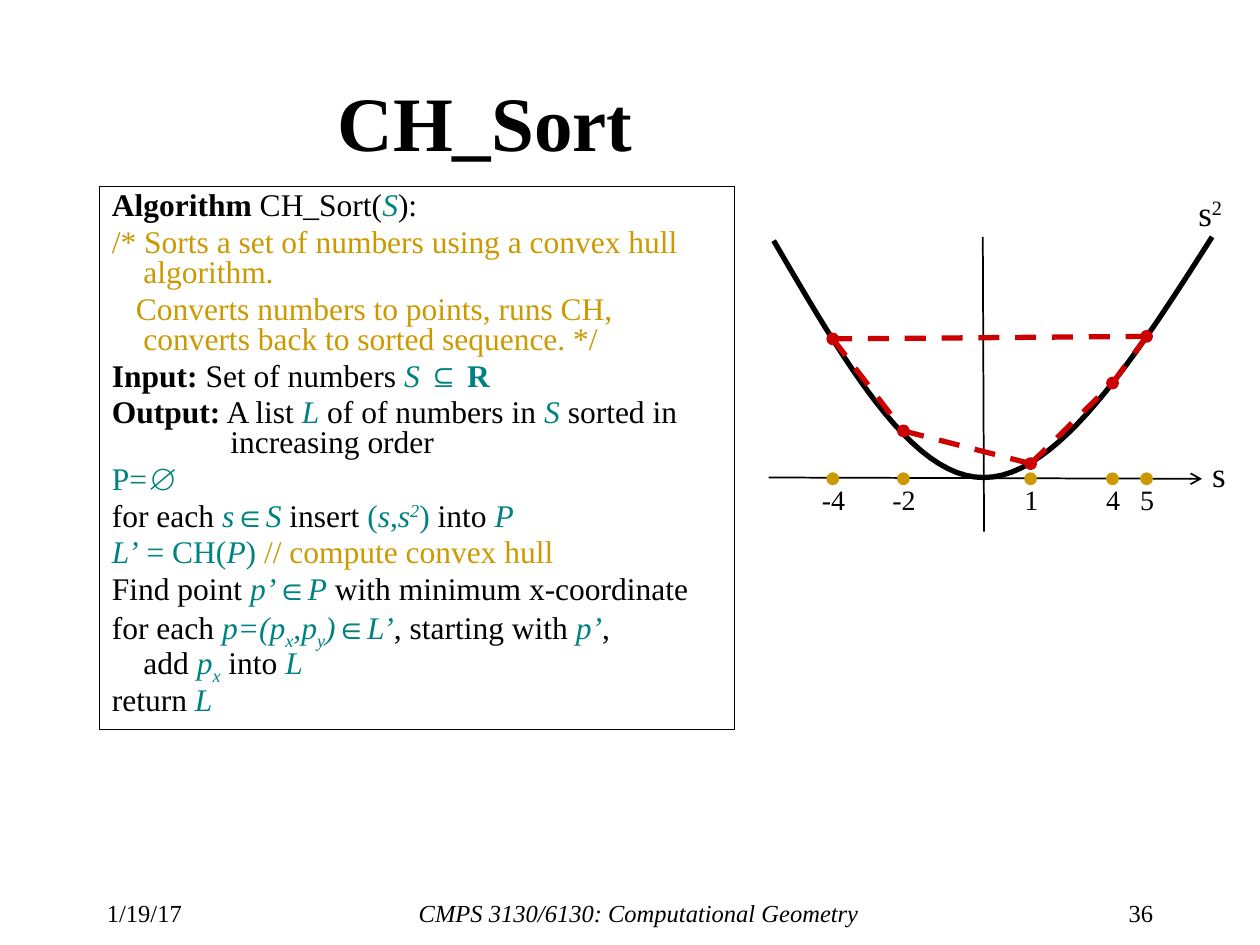
from itertools import pairwise

from lxml.etree import SubElement as Sub
from pptx import Presentation
from pptx.dml.color import RGBColor
from pptx.enum.dml import MSO_LINE as Dash
from pptx.enum.shapes import MSO_CONNECTOR as Conn, MSO_SHAPE as Kind
from pptx.enum.text import MSO_ANCHOR as Anchor, PP_ALIGN as Align
from pptx.oxml.ns import qn
from pptx.util import Inches, Pt

HUES = {"ink": "000000", "teal": "008380", "gold": "CC9900", "red": "CC0000"}
STYLES = {
    "plain": ("ink", {}, 0),
    "bold": ("ink", {"bold": True}, 0),
    "slant": ("ink", {"italic": True}, 0),
    "note": ("gold", {}, 0),
    "math": ("teal", {}, 0),
    "set": ("teal", {"bold": True}, 0),
    "var": ("teal", {"italic": True}, 0),
    "sup": ("teal", {"italic": True}, 30000),
    "sub": ("teal", {"italic": True}, -25000),
    "power": ("ink", {}, 30000),
}
HANG = (0.25, -0.25)
CODE = [
    (HANG, [("Algorithm", "bold"), (" CH_Sort(", "plain"), ("S", "var"), ("):", "plain")]),
    (HANG, [("/* Sorts a set of numbers using a convex hull\nalgorithm.", "note")]),
    ((0.25, -0.06), [("Converts numbers to points, runs CH, "
                      "converts back to sorted sequence. */", "note")]),
    (HANG, [("Input:", "bold"), (" Set of numbers ", "plain"), ("S ", "var"),
            ("⊆ ", "math"), ("R", "set")]),
    ((0.94, -0.94), [("Output:", "bold"), (" A list ", "plain"), ("L", "var"),
                     (" of of numbers in ", "plain"), ("S", "var"),
                     (" sorted in\nincreasing order", "plain")]),
    (HANG, [("P=∅", "math")]),
    (HANG, [("for each ", "plain"), ("s", "var"), ("∈", "math"), ("S", "var"),
            (" insert ", "plain"), ("(", "math"), ("s", "var"), (",", "math"),
            ("s", "var"), ("2", "sup"), (")", "math"), (" into ", "plain"), ("P", "var")]),
    (HANG, [("L’", "var"), (" = CH(", "math"), ("P", "var"), (") ", "math"),
            ("// compute convex hull", "note")]),
    (HANG, [("Find point ", "plain"), ("p’", "var"), ("∈", "math"), ("P", "var"),
            (" with minimum x-coordinate", "plain")]),
    (HANG, [("for each ", "plain"), ("p=(p", "var"), ("x", "sub"), (",p", "var"),
            ("y", "sub"), (")", "var"), ("∈", "math"), ("L’", "var"),
            (", starting with ", "plain"), ("p’", "var"), (",\n", "plain"),
            ("add ", "plain"), ("p", "var"), ("x", "sub"), (" into ", "plain"), ("L", "var")]),
    (HANG, [("return", "plain"), (" L", "var")]),
]
POINTS = [("-4", 0.51, 1.22), ("-2", 1.07, 1.95), ("1", 2.08, 2.21),
          ("4", 2.73, 1.57), ("5", 3.0, 1.2)]
CURVES = [((0.04, 0.44), (0.59, 1.38), (1.13, 2.33), (1.71, 2.32)),
          ((1.71, 2.32), (2.29, 2.32), (2.91, 1.37), (3.52, 0.41))]


def tint(name):
    """Return the named colour."""
    return RGBColor.from_string(HUES[name])


def put(item, values):
    """Set attributes from a dict of format values."""
    for key, value in values.items():
        setattr(item, key, value)


def indent(par, left, first):
    """Set the left margin and first-line indent of a paragraph."""
    props = par._p.get_or_add_pPr()
    props.set("marL", str(Inches(left)))
    props.set("indent", str(Inches(first)))


def write(par, runs, size):
    """Add styled runs, breaking lines at newlines."""
    for text, style in runs:
        hue, form, base = STYLES[style]
        for row, part in enumerate(text.split("\n")):
            if row:
                par.add_line_break()
            if not part:
                continue
            run = par.add_run()
            run.text = part
            put(run.font, {"name": "Times New Roman", "size": Pt(size), **form})
            run.font.color.rgb = tint(hue)
            if base:
                run._r.get_or_add_rPr().set("baseline", str(base))


def label(slide, box, runs, size, align=Align.CENTER, anchor=Anchor.TOP):
    """Place one line of text in a box and return its paragraph."""
    frame = slide.shapes.add_textbox(*map(Inches, box)).text_frame
    put(frame, {"word_wrap": True, "vertical_anchor": anchor})
    par = frame.paragraphs[0]
    par.alignment = align
    write(par, runs, size)
    return par


def stroke(slide, start, end, hue="ink", width=1, dash=None):
    """Draw a straight line between two points."""
    line = slide.shapes.add_connector(Conn.STRAIGHT, *map(Inches, (*start, *end)))
    line.line.color.rgb = tint(hue)
    put(line.line, {"width": Pt(width), "dash_style": dash})
    Sub(line._element.spPr, qn("a:effectLst"))
    return line


def dot(slide, x, y, hue):
    """Draw a small filled dot centred on a point."""
    size = 0.07
    box = (x - size / 2, y - size / 2, size, size)
    mark = slide.shapes.add_shape(Kind.OVAL, *map(Inches, box))
    mark.shadow.inherit = False
    mark.fill.solid()
    mark.fill.fore_color.rgb = mark.line.color.rgb = tint(hue)
    mark.line.width = Pt(2.25)


def bezier(curve, t):
    """Return the point at t on a cubic curve."""
    rates = ((1 - t) ** 3, 3 * t * (1 - t) ** 2, 3 * t * t * (1 - t), t ** 3)
    return tuple(sum(r * p[axis] for r, p in zip(rates, curve)) for axis in (0, 1))


def heading(slide, box):
    """Place the slide title."""
    par = label(slide, box, [("CH_Sort", "bold")], 44, Align.LEFT, Anchor.MIDDLE)
    indent(par, 1, 0)


def code(slide, box):
    """Place the framed pseudocode."""
    panel = slide.shapes.add_shape(Kind.RECTANGLE, *map(Inches, box))
    panel.shadow.inherit = False
    panel.fill.background()
    panel.line.color.rgb = tint("ink")
    panel.line.width = Pt(0.75)
    frame = panel.text_frame
    put(frame, {"word_wrap": True, "vertical_anchor": Anchor.TOP})
    for row, (margins, runs) in enumerate(CODE):
        par = frame.add_paragraph() if row else frame.paragraphs[0]
        put(par, {"alignment": Align.LEFT, "line_spacing": 0.8, "space_before": Pt(3.6)})
        indent(par, *margins)
        write(par, runs, 18)


def graph(slide, left, top):
    """Draw the parabola, its axes and the convex hull."""
    def at(x, y):
        """Shift a point into the graph box."""
        return left + x, top + y

    axis = stroke(slide, at(0, 2.32), at(3.44, 2.33))
    Sub(axis.line._get_or_add_ln(), qn("a:tailEnd"), type="arrow")
    stroke(slide, at(1.71, 2.75), at(1.7, 0.41))

    steps = 24
    track = [tuple(map(Inches, at(*bezier(c, n / steps))))
             for c in CURVES for n in range(steps + 1)]
    pen = slide.shapes.build_freeform(*track[0])
    pen.add_line_segments(track[1:], close=False)
    arc = pen.convert_to_shape()
    arc.shadow.inherit = False
    arc.fill.background()
    arc.line.color.rgb = tint("ink")
    arc.line.width = Pt(3)

    label(slide, (*at(3.25, 0), 0.51, 0.43), [("s", "plain"), ("2", "power")], 20)
    label(slide, (*at(3.32, 2.07), 0.51, 0.43), [("s", "plain")], 20)
    for name, x, y in POINTS:
        dot(slide, *at(x, 2.33), "gold")
        label(slide, (*at(x - 0.21, 2.31), 0.43, 0.37), [(name, "plain")], 16)
        dot(slide, *at(x, y), "red")
    hull = [at(x, y) for _, x, y in POINTS]
    for start, end in pairwise(hull + hull[:1]):
        stroke(slide, start, end, "red", 3, Dash.DASH)


def footer(slide, top):
    """Place the date, course name and page number."""
    for left, width, text, style, align in (
        (0.75, 0.95, "1/19/17", "plain", Align.LEFT),
        (1.9, 6.34, "CMPS 3130/6130: Computational Geometry", "slant", Align.CENTER),
        (8.43, 0.82, "36", "plain", Align.RIGHT),
    ):
        label(slide, (left, top, width, 0.25), [(text, style)], 14, align)


def main():
    """Build and save the slide."""
    deck = Presentation()
    put(deck, {"slide_width": Inches(10), "slide_height": Inches(7.5)})
    slide = deck.slides.add_slide(deck.slide_layouts[6])
    footer(slide, 7.08)
    heading(slide, (1.58, 0.33, 8.25, 1.25))
    code(slide, (0.79, 1.48, 5.04, 4.31))
    graph(slide, 6.1, 1.47)
    deck.save("out.pptx")


if __name__ == "__main__":
    main()
